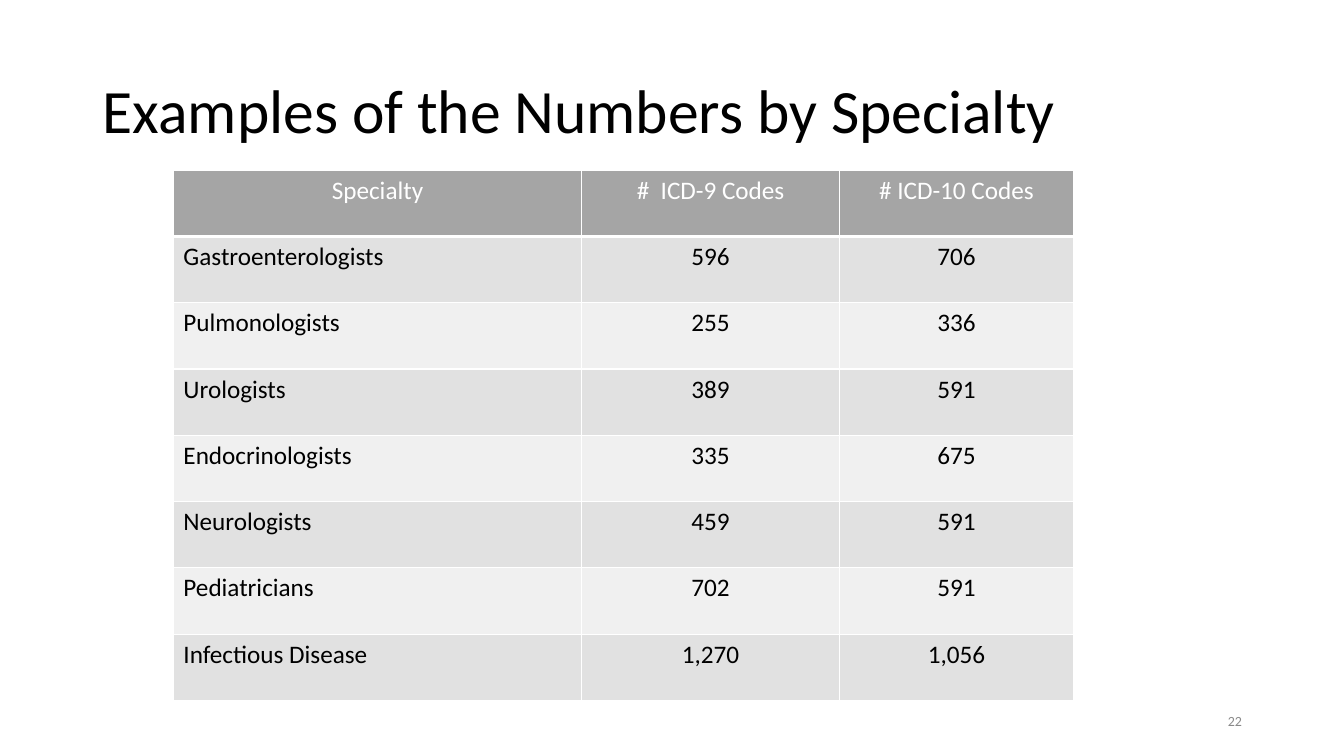
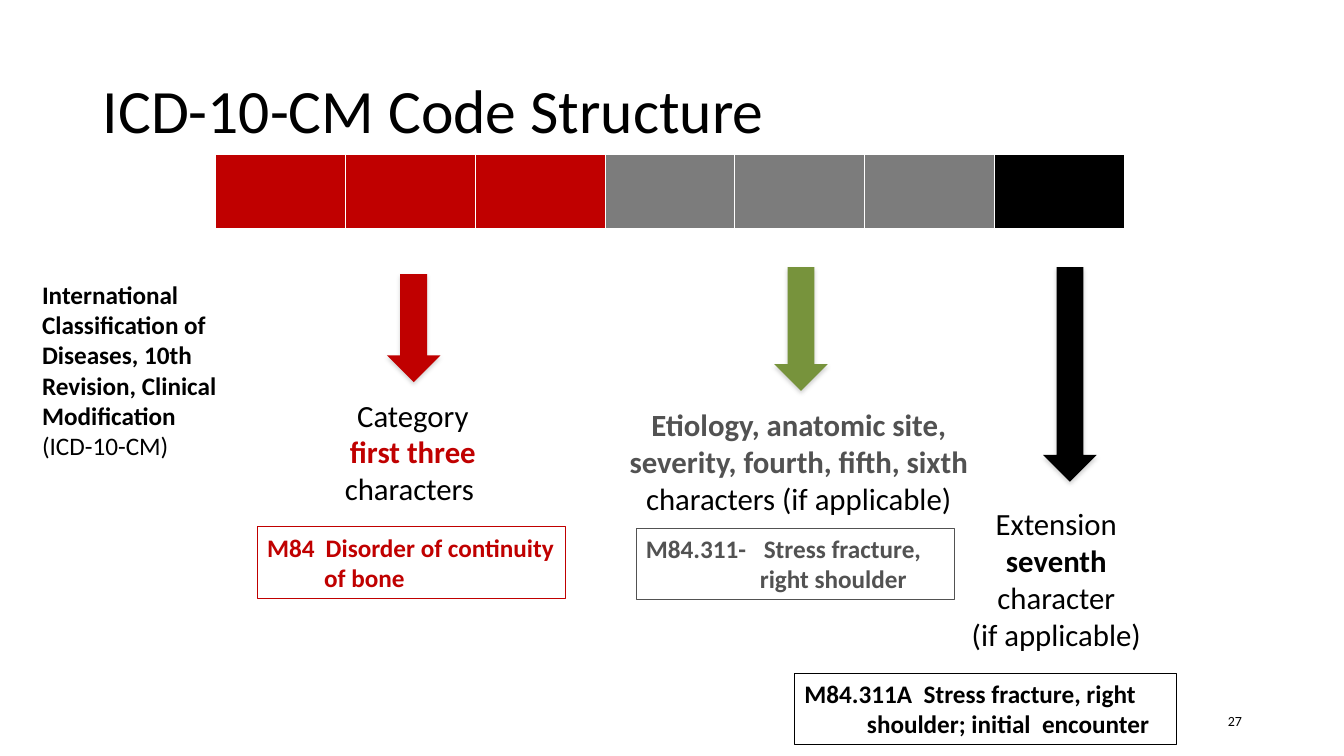
import pptx
import pptx.dml.color
import pptx.enum.shapes
import pptx.enum.text
import pptx.oxml
import pptx.oxml.ns
import pptx.util
from lxml import etree

Cm = pptx.util.Cm
Pt = pptx.util.Pt
RGB = pptx.dml.color.RGBColor
ALIGN = pptx.enum.text.PP_ALIGN
ANCHOR = pptx.enum.text.MSO_ANCHOR
SHAPE = pptx.enum.shapes.MSO_SHAPE

BLACK = RGB(0x00, 0x00, 0x00)
WHITE = RGB(0xFF, 0xFF, 0xFF)
RED = RGB(0xC0, 0x00, 0x00)
GREEN = RGB(0x77, 0x93, 0x3C)
SLATE = RGB(0x52, 0x52, 0x52)
GRAY = RGB(0x7C, 0x7C, 0x7C)
PALE = RGB(0x89, 0x89, 0x89)
HEAD = RGB(0xA5, 0xA5, 0xA5)
BANDS = RGB(0xF0, 0xF0, 0xF0), RGB(0xE1, 0xE1, 0xE1)

NS = pptx.oxml.ns.nsdecls("a")
EDGE = ('<a:{side} %s w="{width}"><a:solidFill><a:srgbClr val="{color}"/>'
        '</a:solidFill></a:{side}>' % NS)
SHADOW = ('<a:effectLst %s><a:outerShdw blurRad="39370" dist="22860" '
          'dir="5400000" rotWithShape="0"><a:srgbClr val="808080">'
          '<a:alpha val="35000"/></a:srgbClr></a:outerShdw></a:effectLst>' % NS)
TABS = '<a:tabLst %s><a:tab pos="{pos}" algn="l"/></a:tabLst>' % NS


class Deck:
    base = {"name": "Calibri", "size": Pt(18), "bold": False}

    def __init__(self):
        self.prs = pptx.Presentation()
        self.prs.slide_width = Cm(33.87)
        self.prs.slide_height = Cm(19.05)

    def page(self, title, number, color):
        self.slide = self.prs.slides.add_slide(self.prs.slide_layouts[6])
        box = self.text((2.34, 1.02, 29.21, 3.68), [[(title, {})]], size=44,
                        align=ALIGN.LEFT, anchor=ANCHOR.MIDDLE)
        box.text_frame.paragraphs[0].line_spacing = 0.9
        self.text((23.93, 17.65, 7.62, 1.02), [[(str(number), {})]], size=10,
                  color=color, align=ALIGN.RIGHT, anchor=ANCHOR.MIDDLE)

    def run(self, par, words, color=BLACK, **style):
        run = par.add_run()
        run.text = words
        for key, value in {**self.base, **style}.items():
            setattr(run.font, key, value)
        run.font.color.rgb = color

    def fill(self, frame, pars, size, color, align, anchor=ANCHOR.TOP):
        """Write paragraphs, each a list of (words, style) runs."""
        frame.word_wrap = True
        frame.vertical_anchor = anchor
        for i, runs in enumerate(pars):
            par = frame.add_paragraph() if i else frame.paragraphs[0]
            par.alignment = align
            for words, style in runs:
                self.run(par, words, **{"size": Pt(size), "color": color, **style})

    def text(self, place, pars, size=22, color=BLACK, align=ALIGN.CENTER,
             anchor=ANCHOR.TOP):
        box = self.slide.shapes.add_textbox(*map(Cm, place))
        self.fill(box.text_frame, pars, size, color, align, anchor)
        return box

    def arrow(self, place, color):
        shape = self.slide.shapes.add_shape(SHAPE.DOWN_ARROW, *map(Cm, place))
        shape.fill.solid()
        shape.fill.fore_color.rgb = color
        shape.line.fill.background()
        shape._element.spPr.append(pptx.oxml.parse_xml(SHADOW))

    def note(self, place, color, code, tab, first, indent, second):
        """Outlined example: a code and two lines of meaning."""
        shape = self.slide.shapes.add_shape(SHAPE.RECTANGLE, *map(Cm, place))
        shape.shadow.inherit = False
        shape.fill.background()
        shape.line.color.rgb = color
        shape.line.width = Pt(0.75)
        bold = {"bold": True}
        pars = [[(code + "\t" + first, bold)], [(second, bold)]]
        self.fill(shape.text_frame, pars, 18, color, ALIGN.LEFT)
        top, low = shape.text_frame.paragraphs
        top._p.get_or_add_pPr().append(
            pptx.oxml.parse_xml(TABS.format(pos=int(Cm(tab)))))
        low._p.get_or_add_pPr().set("marL", str(int(Cm(indent))))

    def table(self, left, top, widths, height, rows, fills):
        """Draw rows of words; fills(row, column) gives each cell's colour."""
        grid = self.slide.shapes.add_table(
            len(rows), len(widths), Cm(left), Cm(top),
            Cm(sum(widths)), Cm(height * len(rows))).table
        for col, width in zip(grid.columns, widths):
            col.width = Cm(width)
        for r, row in enumerate(rows):
            grid.rows[r].height = Cm(height)
            for c, words in enumerate(row):
                cell = grid.cell(r, c)
                self.edges(cell, r)
                cell.fill.solid()
                cell.fill.fore_color.rgb = fills(r, c)
                if words:
                    align = ALIGN.LEFT if r and not c else ALIGN.CENTER
                    self.fill(cell.text_frame, [[(words, {})]], 18,
                              BLACK if r else WHITE, align)

    def edges(self, cell, row):
        """White borders, thick below the first row."""
        props = cell._tc.get_or_add_tcPr()
        for side in ("lnL", "lnR", "lnT", "lnB"):
            thick = (side, row) in (("lnB", 0), ("lnT", 1))
            props.append(pptx.oxml.parse_xml(EDGE.format(
                side=side, width=int(Pt(3 if thick else 1)), color=WHITE)))


def counts(deck):
    deck.page("Examples of the Numbers by Specialty", 22, PALE)
    rows = [
        ("Specialty", "#  ICD-9 Codes", "# ICD-10 Codes"),
        ("Gastroenterologists", "596", "706"),
        ("Pulmonologists", "255", "336"),
        ("Urologists", "389", "591"),
        ("Endocrinologists", "335", "675"),
        ("Neurologists", "459", "591"),
        ("Pediatricians", "702", "591"),
        ("Infectious Disease", "1,270", "1,056"),
    ]
    deck.table(4.37, 4.29, (10.29, 6.5, 5.89), 1.67, rows,
               lambda r, c: BANDS[r % 2] if r else HEAD)


def code(deck):
    deck.page("ICD-10-CM Code Structure", 27, BLACK)
    parts = [RED] * 3 + [GRAY] * 3 + [BLACK]
    deck.table(5.44, 3.89, [3.27] * 7, 1.9, [[""] * 7], lambda r, c: parts[c])

    for left, top, height, color in ((9.75, 6.91, 2.72, RED),
                                     (19.51, 6.73, 3.12, GREEN),
                                     (26.29, 6.73, 5.41, BLACK)):
        deck.arrow((left, top, 1.35, height), color)

    bold = {"bold": True}
    deck.text((7.42, 9.86, 5.97, 3.07), [
        [("Category", {})],
        [("first three", {"bold": True, "color": RED})],
        [("characters ", {})]])
    deck.text((15.57, 10.11, 9.12, 3.07), [[
        ("Etiology, anatomic site, severity, fourth, fifth, sixth ",
         {"bold": True, "color": SLATE}),
        ("characters (if applicable)", {})]])
    deck.text((24.08, 12.6, 5.08, 4.01), [
        [("Extension", {})], [("seventh", bold)],
        [("character", {})], [("(if applicable)", {})]])
    deck.text((0.81, 6.91, 5.41, 4.88), [[
        ("International Classification of Diseases, 10th Revision, "
         "Clinical Modification", bold),
        (" (ICD-10-CM)", {})]], size=18, align=ALIGN.LEFT)

    deck.note((6.48, 13.28, 7.77, 1.8), RED, "M84", 1.48,
              "Disorder of continuity", 1.44, "of bone")
    deck.note((16.03, 13.31, 8.03, 1.8), SLATE, "M84.311-", 2.97,
              "Stress fracture,", 2.87, "right shoulder")
    deck.note((20.02, 16.97, 9.63, 1.8), BLACK, "M84.311A", 3.01,
              "Stress fracture, right", 1.58, "shoulder; initial  encounter")


def main():
    deck = Deck()
    counts(deck)
    code(deck)
    deck.prs.save("out.pptx")


if __name__ == "__main__":
    main()
